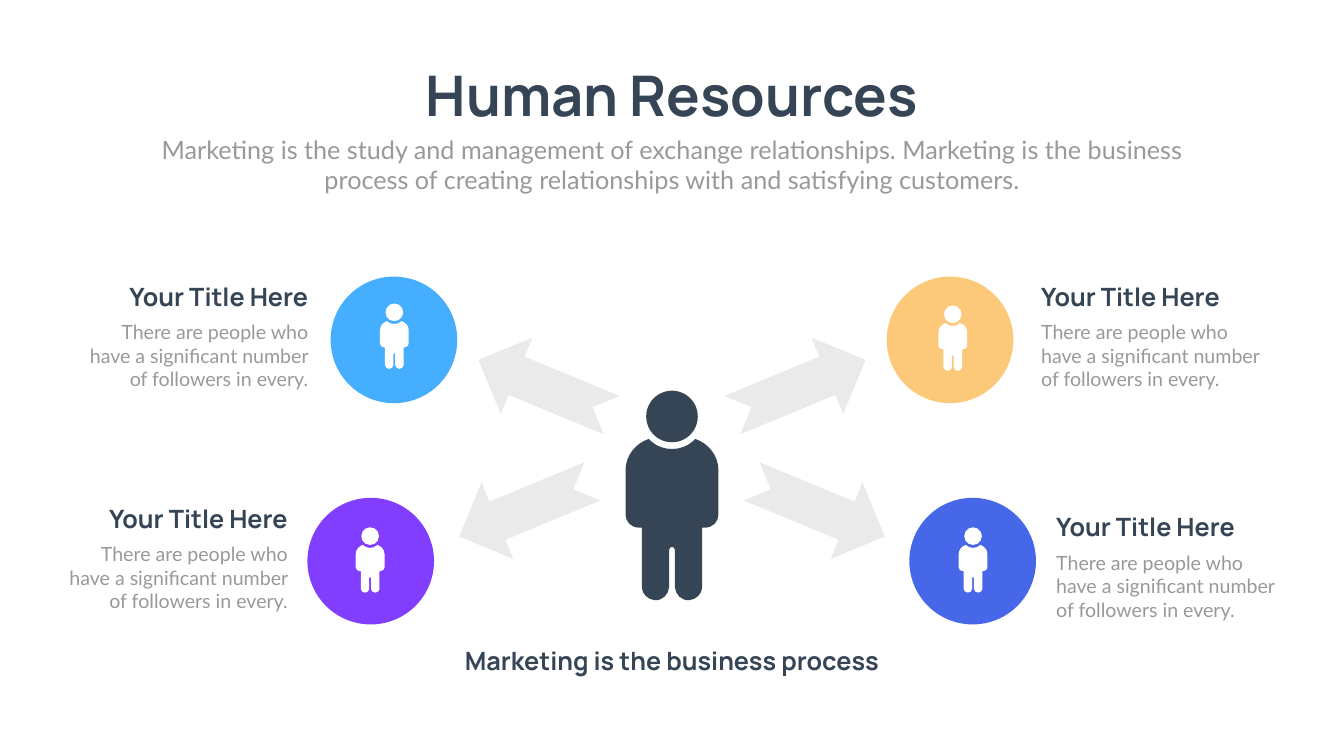
from dataclasses import dataclass

from lxml import etree
from pptx import Presentation
from pptx.dml.color import RGBColor
from pptx.enum import shapes, text
from pptx.oxml.ns import qn
from pptx.util import Cm, Pt


@dataclass(frozen=True)
class Theme:
    ink: str = "364556"
    muted: str = "999999"
    arrow: str = "EAEAEA"
    white: str = "FFFFFF"
    sky: str = "45AEFF"
    sand: str = "FCC87A"
    violet: str = "823EFE"
    blue: str = "4567E8"
    heading_font: str = "Manrope"
    body_font: str = "Lato"
    title_size: int = 80
    heading_size: int = 36
    body_size: int = 28


THEME = Theme()
WIDTH, HEIGHT = 67.72, 38.1
CENTER = WIDTH / 2
CIRCLE = 6.38
ARROW = (7.26, 4.17)
LEFT, MIDDLE, RIGHT = text.PP_ALIGN.LEFT, text.PP_ALIGN.CENTER, text.PP_ALIGN.RIGHT

HEADING = "Your Title Here"
BODY = "There are people who have a significant number of followers in every."

# Right half of a body in cm, from the neck down: each step is either
# one point (straight line) or two control points and an end point (curve).
BODY_SIZE = (4.68, 8.13)
NECK = (0, 0.51)
HALF_BODY = [
    [(0.38, 0.51), (0.76, 0.38), (1.04, 0.13)],
    [(1.17, 0)],
    [(1.85, 0.23), (2.34, 0.86), (2.34, 1.57)],
    [(2.34, 3.81)],
    [(2.34, 4.17), (2.06, 4.47), (1.68, 4.47)],
    [(1.52, 4.47)],
    [(1.52, 7.49)],
    [(1.5, 7.82), (1.22, 8.1), (0.86, 8.13)],
    [(0.48, 8.15), (0.18, 7.85), (0.15, 7.49)],
    [(0.15, 5.61)],
    [(0.15, 5.51), (0.08, 5.44), (0, 5.44)],
]


def paint(shape, color):
    shape.shadow.inherit = False
    shape.fill.solid()
    shape.fill.fore_color.rgb = RGBColor.from_string(color)
    shape.line.fill.background()


def add_centered(slide, kind, x, y, width, height, color):
    """Add a preset shape around the centre point x, y."""
    shape = slide.shapes.add_shape(
        kind, Cm(x - width / 2), Cm(y - height / 2), Cm(width), Cm(height))
    paint(shape, color)
    return shape


def write(shape, words, align, size, color, font, bold=False):
    frame = shape.text_frame
    frame.text = words
    frame_format = {
        "word_wrap": True,
        "auto_size": text.MSO_AUTO_SIZE.SHAPE_TO_FIT_TEXT,
        "vertical_anchor": text.MSO_ANCHOR.TOP,
        "margin_left": Cm(0.25), "margin_right": Cm(0.25),
        "margin_top": Cm(0.13), "margin_bottom": Cm(0.13),
    }
    for name, value in frame_format.items():
        setattr(frame, name, value)
    paragraph = frame.paragraphs[0]
    paragraph.alignment = align
    run_font = paragraph.runs[0].font
    for name, value in {"size": Pt(size), "name": font, "bold": bold}.items():
        setattr(run_font, name, value)
    run_font.color.rgb = RGBColor.from_string(color)


def add_heading(slide, words, left, top, width, align):
    box = slide.shapes.add_textbox(Cm(left), Cm(top), Cm(width), Cm(1.8))
    write(box, words, align, THEME.heading_size, THEME.ink, THEME.heading_font, True)


def add_body(slide, words, left, top, width, height, align, size):
    box = slide.shapes.add_textbox(Cm(left), Cm(top), Cm(width), Cm(height))
    write(box, words, align, size, THEME.muted, THEME.body_font)


def add_caption(slide, edge, top, align):
    """Add heading and body; edge is the side on which the text is aligned."""
    heading_width, body_width = 13.87, 12.19
    shift = 1 if align == RIGHT else 0
    add_body(slide, BODY, edge - shift * body_width, top + 1.96,
             body_width, 3.84, align, THEME.body_size)
    add_heading(slide, HEADING, edge - shift * heading_width, top,
                heading_width, align)


def body_outline():
    """Return all points of the mirrored body and the point count of each step."""
    half = [NECK] + [point for step in HALF_BODY for point in step]
    counts = [len(step) for step in HALF_BODY]
    mirrored = [(-x, y) for x, y in reversed(half[:-1])]
    return half + mirrored, counts + counts[::-1]


def bend(outline, counts):
    """Merge each run of three line points into one cubic curve."""
    lines = iter(list(outline.iter(qn("a:lnTo"))))
    for count in counts:
        group = [next(lines) for _ in range(count)]
        if count == 3:
            curve = etree.Element(qn("a:cubicBezTo"))
            group[0].addprevious(curve)
            for line in group:
                curve.append(line[0])
                line.getparent().remove(line)


def add_person(slide, x, shoulder, size, head, head_rise, color):
    """Add a figure centred on x, its head centre head_rise above the shoulder."""
    scale_x, scale_y = (a / b for a, b in zip(size, BODY_SIZE))
    outline, counts = body_outline()
    points = [(Cm(x + dx * scale_x), Cm(shoulder + dy * scale_y))
              for dx, dy in outline]
    builder = slide.shapes.build_freeform(*points[0])
    builder.add_line_segments(points[1:], close=True)
    body = builder.convert_to_shape()
    bend(body.element, counts)
    paint(body, color)
    add_centered(slide, shapes.MSO_SHAPE.OVAL, x, shoulder - head_rise,
                 head, head, color)


def add_arrow(slide, x, y, rotation):
    arrow = add_centered(slide, shapes.MSO_SHAPE.NOTCHED_RIGHT_ARROW,
                         x, y, *ARROW, THEME.arrow)
    arrow.rotation = rotation


def add_title(slide, words):
    title = slide.shapes.title
    box = {"left": 20.24, "top": 2.9, "width": 27.23, "height": 3.68}
    for name, value in box.items():
        setattr(title, name, Cm(value))
    write(title, words, MIDDLE, THEME.title_size, THEME.ink, THEME.heading_font, True)


def main():
    deck = Presentation()
    deck.slide_width, deck.slide_height = Cm(WIDTH), Cm(HEIGHT)
    slide = deck.slides.add_slide(deck.slide_layouts[5])

    add_title(slide, "Human Resources")
    add_body(slide, "Marketing is the study and management of exchange relationships. "
             "Marketing is the business process of creating relationships with and "
             "satisfying customers.",
             7.42, 6.63, 52.88, 3.33, MIDDLE, THEME.heading_size)

    for x, y, color in [(18.68, 28.28, THEME.violet), (49.01, 28.28, THEME.blue),
                        (19.85, 17.13, THEME.sky), (47.87, 17.13, THEME.sand)]:
        add_centered(slide, shapes.MSO_SHAPE.OVAL, x, y, CIRCLE, CIRCLE, color)

    add_person(slide, CENTER, 22.12, BODY_SIZE, 2.6, 1.13, THEME.ink)

    tilt = 22.5
    for reach, y, slope in [(6.4, 19.53, -tilt), (7.37, 25.65, tilt)]:
        add_arrow(slide, CENTER + reach, y, slope % 360)
        add_arrow(slide, CENTER - reach, y, 180 - slope)

    for edge, top, align in [(15.78, 14.05, RIGHT), (14.75, 25.23, RIGHT),
                             (52.21, 14.05, LEFT), (52.97, 25.65, LEFT)]:
        add_caption(slide, edge, top, align)

    for x, shoulder in [(48.01, 16.28), (49.03, 27.46),
                        (18.65, 27.46), (19.87, 16.18)]:
        add_person(slide, x, shoulder, (1.45, 2.41), 0.89, 0.44, THEME.white)

    add_heading(slide, "Marketing is the business process", 20.24, 32.41, 27.23, MIDDLE)
    deck.save("out.pptx")


if __name__ == "__main__":
    main()
